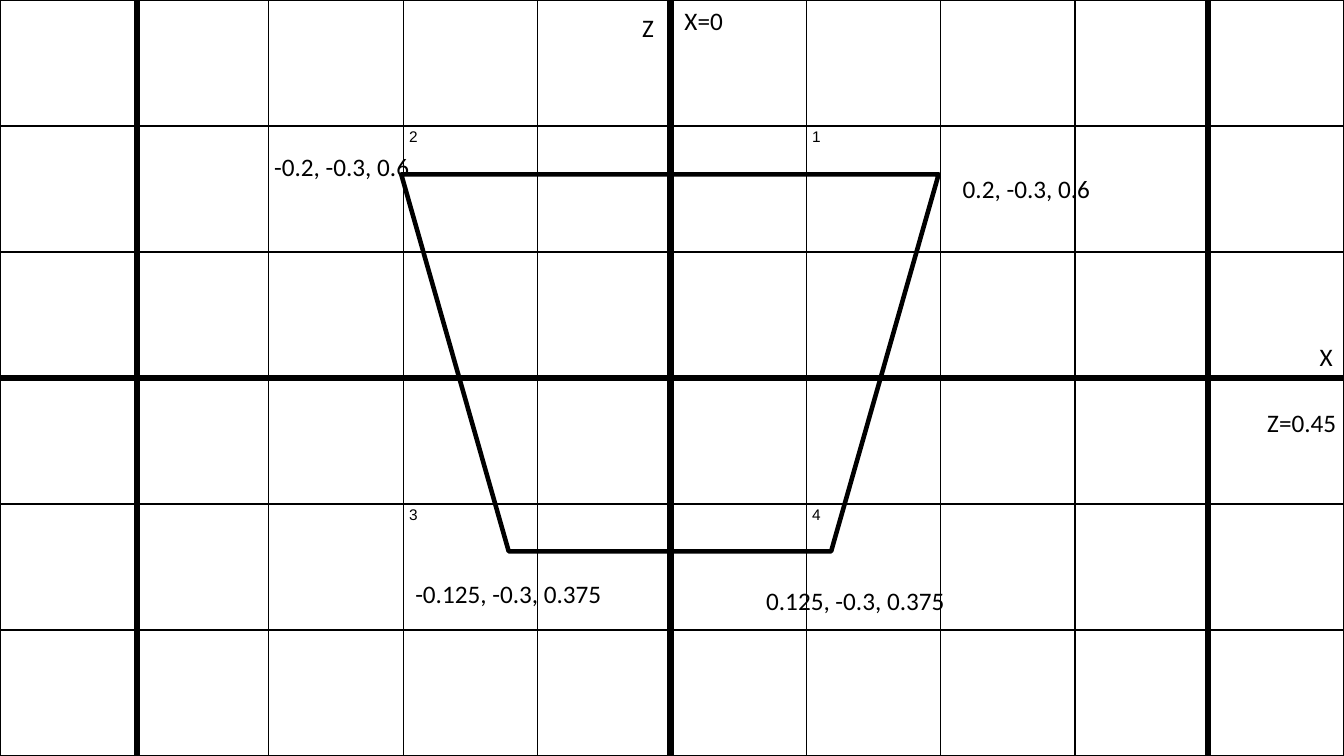
from lxml import etree
from pptx import Presentation
from pptx.dml.color import RGBColor
from pptx.enum.shapes import MSO_CONNECTOR, MSO_SHAPE
from pptx.enum.text import MSO_AUTO_SIZE
from pptx.oxml.ns import qn
from pptx.util import Inches, Pt

STRAIGHT = MSO_CONNECTOR.STRAIGHT
TRAPEZOID = MSO_SHAPE.FLOWCHART_MANUAL_OPERATION
GROW = MSO_AUTO_SIZE.SHAPE_TO_FIT_TEXT

BLACK = "000000"
WIDTH, HEIGHT = 13.33, 7.5
ROWS, COLUMNS = 6, 10
CORNER_NUMBERS = {(1, 3): "2", (1, 6): "1", (4, 3): "3", (4, 6): "4"}

# Each line: start x, start y, end x, end y
AXIS_LINES = [
    (WIDTH, 3.75, 0, 3.75),
    (6.65, -0.07, 6.65, HEIGHT),
    (11.98, 0, 11.98, 7.57),
    (1.36, -0.07, 1.36, HEIGHT),
]
# Each label: text, left, top, width
AXIS_LABELS = [
    ("X", 12.99, 3.34, 0.31),
    ("Z", 6.27, 0.07, 0.25),
    ("X=0", 6.69, 0, 0.81),
    ("Z=0.45", 12.47, 3.99, 0.92),
]
CORNER_LABELS = [
    ("0.2, -0.3, 0.6", 9.45, 1.67, 2.39),
    ("-0.2, -0.3, 0.6", 2.62, 1.45, 2.39),
    ("0.125, -0.3, 0.375", 7.5, 5.76, 2.39),
    ("-0.125, -0.3, 0.375", 4.02, 5.69, 2.39),
]


def color(hex_value):
    return RGBColor.from_string(hex_value)


def format_text(text_frame, font_name, size):
    for paragraph in text_frame.paragraphs:
        for run in paragraph.runs:
            run.font.name = font_name
            run.font.size = Pt(size)
            run.font.color.rgb = color(BLACK)


def set_borders(cell, hex_value, points):
    properties = cell._tc.get_or_add_tcPr()
    for position, side in enumerate(("a:lnL", "a:lnR", "a:lnT", "a:lnB")):
        border = etree.Element(qn(side), w=str(Pt(points)))
        fill = etree.SubElement(border, qn("a:solidFill"))
        etree.SubElement(fill, qn("a:srgbClr"), val=hex_value)
        properties.insert(position, border)


def add_grid(slide):
    frame = slide.shapes.add_table(
        ROWS, COLUMNS, 0, 0, Inches(WIDTH), Inches(HEIGHT))
    table = frame.table
    table.first_row = False
    table.horz_banding = False
    for column in table.columns:
        column.width = Inches(WIDTH / COLUMNS)
    for row in table.rows:
        row.height = Inches(HEIGHT / ROWS)
    for cell in table.iter_cells():
        cell.fill.background()
        set_borders(cell, BLACK, 1)
    for (row_index, column_index), number in CORNER_NUMBERS.items():
        cell = table.cell(row_index, column_index)
        cell.margin_left = cell.margin_right = Inches(0.06)
        cell.margin_top = cell.margin_bottom = Inches(0.03)
        cell.text_frame.text = number
        format_text(cell.text_frame, "Arial", 11)


def add_axis_line(slide, *ends):
    connector = slide.shapes.add_connector(
        STRAIGHT, *(Inches(value) for value in ends))
    connector.line.color.rgb = color(BLACK)
    connector.line.width = Pt(4.5)
    etree.SubElement(connector._element.spPr, qn("a:effectLst"))


def add_label(slide, text, left, top, width):
    box = slide.shapes.add_textbox(
        Inches(left), Inches(top), Inches(width), Inches(0.4))
    text_frame = box.text_frame
    text_frame.word_wrap = True
    text_frame.auto_size = GROW
    text_frame.text = text
    format_text(text_frame, "Calibri", 18)


def add_trapezoid(slide, left, top, width, height):
    shape = slide.shapes.add_shape(
        TRAPEZOID, Inches(left), Inches(top), Inches(width), Inches(height))
    shape.shadow.inherit = False
    shape.fill.background()
    shape.line.color.rgb = color(BLACK)
    shape.line.width = Pt(3.25)


def main():
    presentation = Presentation()
    presentation.slide_width = Inches(WIDTH)
    presentation.slide_height = Inches(HEIGHT)
    slide = presentation.slides.add_slide(presentation.slide_layouts[6])

    add_grid(slide)
    for line in AXIS_LINES:
        add_axis_line(slide, *line)
    add_trapezoid(slide, 3.98, 1.73, 5.33, 3.74)
    for label in AXIS_LABELS + CORNER_LABELS:
        add_label(slide, *label)

    presentation.save("out.pptx")


if __name__ == "__main__":
    main()
